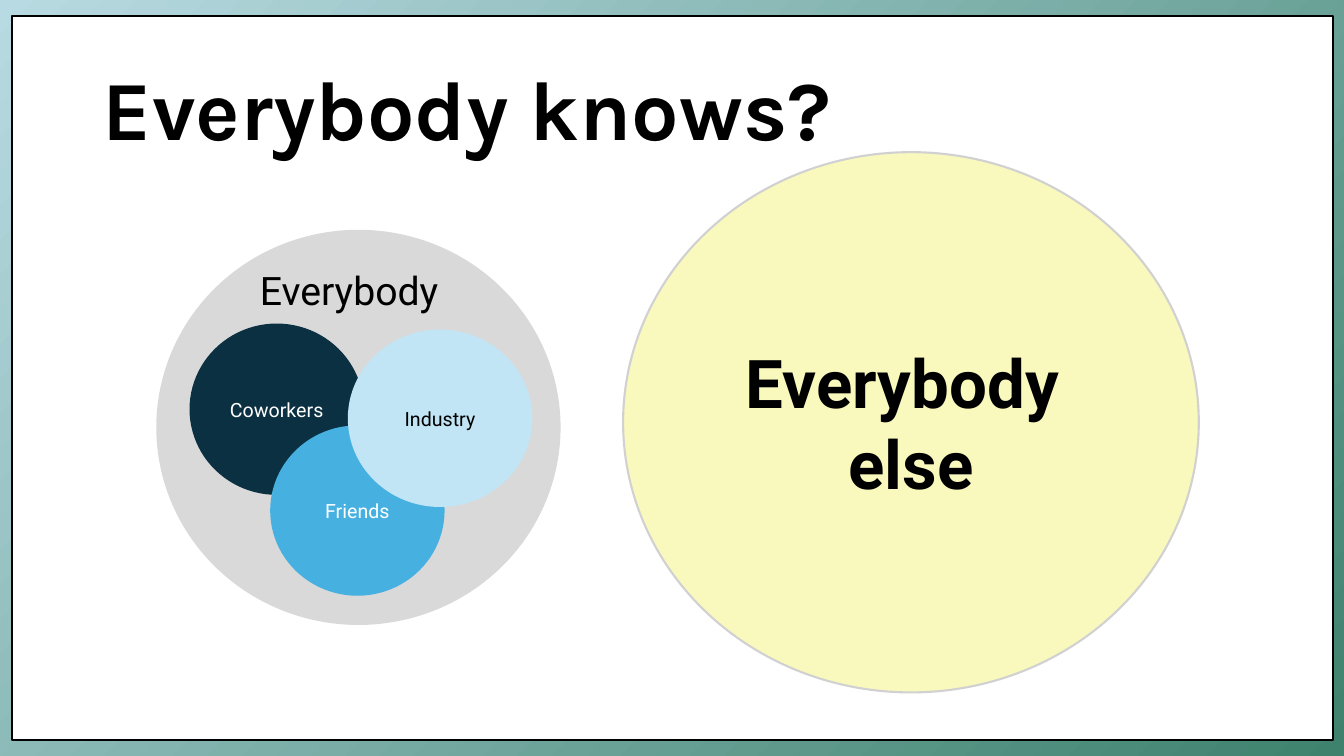
from pptx import Presentation
from pptx.dml.color import RGBColor
from pptx.enum.shapes import MSO_SHAPE
from pptx.enum.text import MSO_ANCHOR, MSO_AUTO_SIZE, PP_ALIGN
from pptx.util import Inches, Pt

OVAL, RECTANGLE = MSO_SHAPE.OVAL, MSO_SHAPE.RECTANGLE
MIDDLE = MSO_ANCHOR.MIDDLE
CENTER, LEFT = PP_ALIGN.CENTER, PP_ALIGN.LEFT

BLACK = RGBColor(0x00, 0x00, 0x00)
WHITE = RGBColor(0xFF, 0xFF, 0xFF)
PALE_TEAL = RGBColor(0xB8, 0xDA, 0xE2)
GREEN = RGBColor(0x3E, 0x82, 0x6D)
GREY = RGBColor(0xD9, 0xD9, 0xD9)
OUTLINE_GREY = RGBColor(0xD1, 0xD1, 0xD1)
YELLOW = RGBColor(0xFA, 0xF9, 0xBD)
NAVY = RGBColor(0x0B, 0x30, 0x41)
BLUE = RGBColor(0x46, 0xB1, 0xE1)
PALE_BLUE = RGBColor(0xC1, 0xE5, 0xF5)


def add_filled_shape(kind, box, fill, outline=None):
    shape = slide.shapes.add_shape(kind, *map(Inches, box))
    shape.shadow.inherit = False
    shape.fill.solid()
    shape.fill.fore_color.rgb = fill
    if outline is None:
        shape.line.fill.background()
    else:
        shape.line.color.rgb = outline
        shape.line.width = Pt(1.5)
    return shape


def write_lines(text_frame, lines, size, color, alignment=CENTER, font="Roboto", bold=False):
    """Put each line in its own paragraph, all in one style."""
    for index, line in enumerate(lines):
        paragraph = text_frame.add_paragraph() if index else text_frame.paragraphs[0]
        paragraph.alignment = alignment
        run = paragraph.add_run()
        run.text = line
        run.font.name = font
        run.font.size = Pt(size)
        run.font.bold = bold
        run.font.color.rgb = color


presentation = Presentation()
presentation.slide_width = Inches(13.33)
presentation.slide_height = Inches(7.5)
slide = presentation.slides.add_slide(presentation.slide_layouts[5])

background = slide.background.fill
background.gradient()
background.gradient_angle = 315
for stop, position, color in zip(background.gradient_stops, (0, 1), (PALE_TEAL, GREEN)):
    stop.position = position
    stop.color.rgb = color

# White panel, placed behind the title
panel = add_filled_shape(RECTANGLE, (0.12, 0.16, 13.1, 7.18), WHITE, BLACK)
title = slide.shapes.title
title.element.addprevious(panel.element)

title.left, title.top = Inches(0.92), Inches(0.4)
title.width, title.height = Inches(11.5), Inches(1.45)
title.text_frame.auto_size = MSO_AUTO_SIZE.NONE
title.text_frame.vertical_anchor = MIDDLE
write_lines(title.text_frame, ["Everybody knows?"], 60, BLACK, LEFT, "Karla", True)
title.text_frame.paragraphs[0].line_spacing = 0.9

# Large circles
add_filled_shape(OVAL, (1.55, 2.28, 4.01, 3.92), GREY)
everybody_else = add_filled_shape(OVAL, (6.18, 1.51, 5.71, 5.36), YELLOW, OUTLINE_GREY)
everybody_else.text_frame.vertical_anchor = MIDDLE
write_lines(everybody_else.text_frame, ["Everybody ", "else"], 48, BLACK, bold=True)

# Overlapping groups inside "Everybody"
groups = [
    ("Coworkers", (1.88, 3.21, 1.73, 1.7), NAVY, WHITE),
    ("Friends", (2.68, 4.22, 1.73, 1.69), BLUE, WHITE),
    ("Industry", (3.45, 3.27, 1.83, 1.76), PALE_BLUE, BLACK),
]
for name, box, fill, text_color in groups:
    group_circle = add_filled_shape(OVAL, box, fill)
    group_circle.text_frame.vertical_anchor = MIDDLE
    write_lines(group_circle.text_frame, [name], 14, text_color)

everybody_label = slide.shapes.add_textbox(Inches(2.48), Inches(2.59), Inches(2.14), Inches(0.57))
everybody_label.text_frame.word_wrap = False
everybody_label.text_frame.auto_size = MSO_AUTO_SIZE.SHAPE_TO_FIT_TEXT
write_lines(everybody_label.text_frame, ["Everybody"], 28, BLACK, LEFT)

presentation.save("out.pptx")
